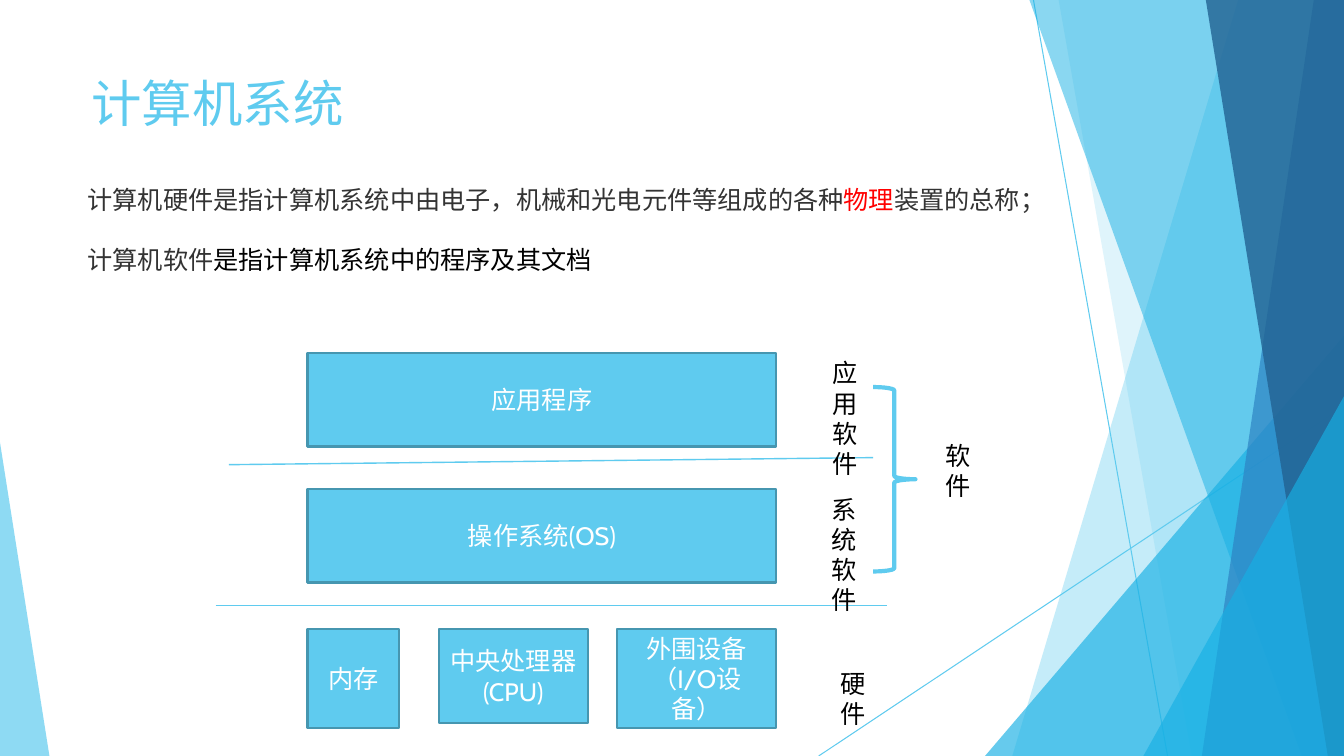
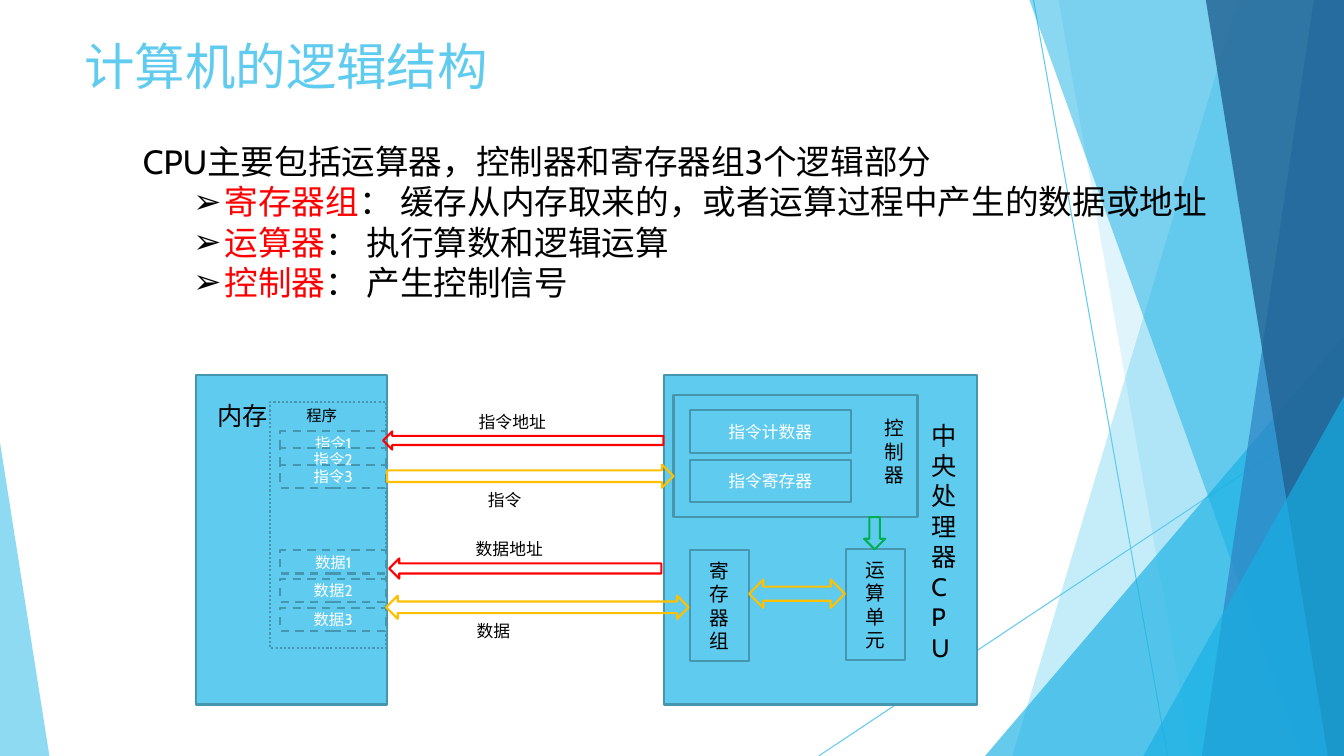
import lxml.etree
import pptx
import pptx.dml.color
import pptx.enum.dml
import pptx.enum.shapes
import pptx.enum.text
import pptx.oxml.ns
import pptx.util

KIND = pptx.enum.shapes.MSO_SHAPE
DASH = pptx.enum.dml.MSO_LINE
ALIGN = pptx.enum.text.PP_ALIGN
ANCHOR = pptx.enum.text.MSO_ANCHOR

SKY, EDGE, CYAN = "5FCBEF", "4696B0", "17B0E4"
BLUE, NAVY = "2E83C3", "226292"
BLACK, WHITE, GREY = "000000", "FFFFFF", "333333"
RED, GOLD, GREEN = "FF0000", "FFC000", "00B050"
WIDE, HIGH = 133.3, 75


def cell(count):
    return pptx.util.Inches(count / 10)


def hue(code):
    return pptx.dml.color.RGBColor.from_string(code)


def child(node, tag, **attrs):
    return lxml.etree.SubElement(node, pptx.oxml.ns.qn(tag), **attrs)


def write(frame, text, size=18, color=BLACK, mark=RED, font="Cabin",
          align=None, gap=0, bullet=None):
    for line in text.split("\n"):
        para = frame.add_paragraph() if frame.text else frame.paragraphs[0]
        para.alignment = align
        if gap:
            para.space_before = pptx.util.Pt(gap)
        if bullet:
            para.level = 1
            props = para._p.get_or_add_pPr()
            props.set("marL", str(cell(8.1)))
            props.set("indent", str(cell(-3.1)))
            child(child(props, "a:buClr"), "a:srgbClr", val=BLACK)
            child(props, "a:buFont", typeface="Arial")
            child(props, "a:buChar", char=bullet)
        for turn, part in enumerate(line.split("*")):
            if part:
                run = para.add_run()
                run.text = part
                run.font.name = font
                run.font.size = pptx.util.Pt(size)
                run.font.color.rgb = hue(mark if turn % 2 else color)


class Deck:
    """Holds the shared style and the current slide, on a grid of ten cells per inch."""

    def __init__(self):
        self.file = pptx.Presentation()
        self.file.slide_width = cell(WIDE)
        self.file.slide_height = cell(HIGH)

    def start(self, title, left, top):
        self.shapes = self.file.slides.add_slide(self.file.slide_layouts[6]).shapes
        self.scene()
        self.label(title, left, top, 94, 9.4, size=36, color=SKY)

    def scene(self):
        self.rule(102.5, 0, 115.8, HIGH, 0.75)
        self.rule(WIDE, 40.3, 81.2, HIGH, 0.75)
        self.band(122.8, 100.4, SKY, 36)
        self.band(105, 118.2, SKY, 20)
        self.wedge(97.7, 33.3, 35.6, 1, CYAN, 66)
        self.band(102.1, 129.1, CYAN, 50)
        self.band(130.3, 119.2, BLUE, 70)
        self.band(119.6, 131.7, NAVY, 80)
        self.wedge(113.4, 39.3, 19.9, 1, CYAN, 66)
        self.wedge(0, 43.9, 4.9, 0, SKY, 70)

    def paint(self, shape, fill, alpha=100, line=None, weight=1.5, dash=None):
        shape.shadow.inherit = False
        if fill:
            shape.fill.solid()
            shape.fill.fore_color.rgb = hue(fill)
            if alpha < 100:
                tone = shape._element.spPr.find(".//" + pptx.oxml.ns.qn("a:srgbClr"))
                child(tone, "a:alpha", val=str(alpha * 1000))
        else:
            shape.fill.background()
        if line:
            shape.line.color.rgb = hue(line)
            shape.line.width = pptx.util.Pt(weight)
            shape.line.dash_style = dash
        else:
            shape.line.fill.background()
        return shape

    def band(self, top, foot, fill, alpha):
        pen = self.shapes.build_freeform(cell(top), 0)
        pen.add_line_segments([(cell(WIDE), 0), (cell(WIDE), cell(HIGH)),
                               (cell(foot), cell(HIGH))])
        self.paint(pen.convert_to_shape(), fill, alpha)

    def wedge(self, left, top, width, tip, fill, alpha):
        shape = self.shape(KIND.ISOSCELES_TRIANGLE, left, top, width, HIGH - top,
                           fill, alpha=alpha)
        shape.adjustments[0] = tip

    def shape(self, kind, left, top, width, height, fill=None, **look):
        shape = self.shapes.add_shape(kind, *map(cell, (left, top, width, height)))
        return self.paint(shape, fill, **look)

    def box(self, text, left, top, width, height, size=18, color=WHITE, dash=None):
        shape = self.shape(KIND.RECTANGLE, left, top, width, height, SKY,
                           line=EDGE, dash=dash)
        frame = shape.text_frame
        frame.word_wrap = True
        frame.vertical_anchor = ANCHOR.MIDDLE
        if text:
            write(frame, text, size=size, color=color, align=ALIGN.CENTER)

    def label(self, text, left, top, width, height, **style):
        frame = self.shapes.add_textbox(*map(cell, (left, top, width, height))).text_frame
        frame.word_wrap = True
        write(frame, text, **style)
        return frame

    def rule(self, left, top, right, foot, weight=1):
        line = self.shapes.add_connector(pptx.enum.shapes.MSO_CONNECTOR.STRAIGHT,
                                         *map(cell, (left, top, right, foot)))
        line.line.color.rgb = hue(SKY)
        line.line.width = pptx.util.Pt(weight)
        child(line._element.spPr, "a:effectLst")


def system(deck):
    deck.start("计算机系统", 8.1, 6.7)
    deck.box("内存", 30.5, 62.4, 9.1, 9.8)
    deck.box("中央处理器\n(CPU)", 43.5, 62.4, 14.8, 9.3)
    deck.box("外围设备\n（I/O设备）", 61.2, 62.4, 15.8, 9.8)
    deck.rule(21.4, 60.1, 88, 60.1)
    deck.box("操作系统(OS)", 30.5, 48.5, 46.5, 9.3)
    deck.rule(22.7, 46.1, 86.6, 45.4)
    deck.box("应用程序", 30.5, 35, 46.5, 9.3)
    deck.label("硬\n件", 82.4, 65.8, 8.4, 7)
    for text, left, top, height in (("软件", 92.8, 43.2, 10.7),
                                    ("系统软件", 81.5, 48.5, 12.8),
                                    ("应用软件", 81.6, 35, 11.4)):
        deck.label(text, left, top, 5, height)
    brace = deck.shape(KIND.RIGHT_BRACE, 86.6, 38.4, 4.2, 18.3, line=SKY, weight=3)
    brace.adjustments[0] = 0.08
    frame = deck.label(
        "计算机硬件是指计算机系统中由电子，机械和光电元件等组成的各种*物理*装置的总称；",
        7.7, 17.8, 109, 10, color=GREY, font="Arial")
    write(frame, "计算机软件*是指计算机系统中的程序及其文档*", color=GREY, mark=BLACK,
          gap=21)


def logic(deck):
    deck.start("计算机的逻辑结构", 7.4, 3)
    deck.box("", 65.9, 37.2, 31, 32.7)
    deck.box("", 66.8, 39.2, 24.2, 12.1)
    deck.box("", 19.4, 37.2, 19, 32.7)
    deck.box("", 26.8, 39.9, 11.5, 24.4, dash=DASH.ROUND_DOT)
    for row, text in enumerate(("指令计数器", "指令寄存器")):
        deck.box(text, 68.4, 40.7 + 4.9 * row, 16, 4.2, size=12)
    deck.box("寄\n存\n器\n组", 68.4, 54.6, 5.9, 11, size=14, color=BLACK)
    deck.box("运\n算\n单\n元", 83.9, 54.5, 5.9, 11, size=14, color=BLACK)
    for name, top, step in (("指令", 42.8, 1.65), ("数据", 54.6, 2.85)):
        for row in range(3):
            deck.box(f"{name}{row + 1}", 27.8, top + step * row, 10.5, 2.3,
                     size=11, dash=DASH.DASH)
    deck.label("内存", 20.6, 39.2, 8, 4)
    deck.label("程序", 29.4, 39.8, 5.4, 2.8, size=11)
    deck.label("控制器", 86.7, 40.8, 4.4, 9, size=14)
    deck.label("中央处理器\nC\nP\nU", 91.4, 41.2, 6.4, 23.7)
    for kind, left, top, width, height, fill, line in (
            (KIND.LEFT_RIGHT_ARROW, 74.3, 57.5, 9.5, 2.8, SKY, GOLD),
            (KIND.DOWN_ARROW, 85.7, 51.3, 2.1, 3.2, SKY, GREEN),
            (KIND.LEFT_RIGHT_ARROW, 38.3, 59.1, 30, 2.3, None, GOLD),
            (KIND.LEFT_ARROW, 38.6, 55.4, 27, 2, None, RED),
            (KIND.RIGHT_ARROW, 38.4, 46.1, 28.4, 2.3, None, GOLD),
            (KIND.LEFT_ARROW, 38, 42.8, 27.8, 1.8, None, RED)):
        deck.shape(kind, left, top, width, height, fill, line=line)
    for text, left, top in (("指令地址", 46.5, 40.4), ("数据地址", 46.2, 53),
                            ("数据", 46.3, 61.1), ("指令", 47.4, 48.1)):
        deck.label(text, left, top, 10.7, 3, size=12)
    frame = deck.label("CPU主要包括运算器，控制器和寄存器组3个逻辑部分",
                       13.2, 13.5, 109.7, 21.2, size=24)
    write(frame, "*寄存器组*： 缓存从内存取来的，或者运算过程中产生的数据或地址\n"
                 "*运算器*： 执行算数和逻辑运算\n"
                 "*控制器*： 产生控制信号", size=24, bullet="➢")


def main():
    deck = Deck()
    system(deck)
    logic(deck)
    deck.file.save("out.pptx")


if __name__ == "__main__":
    main()
